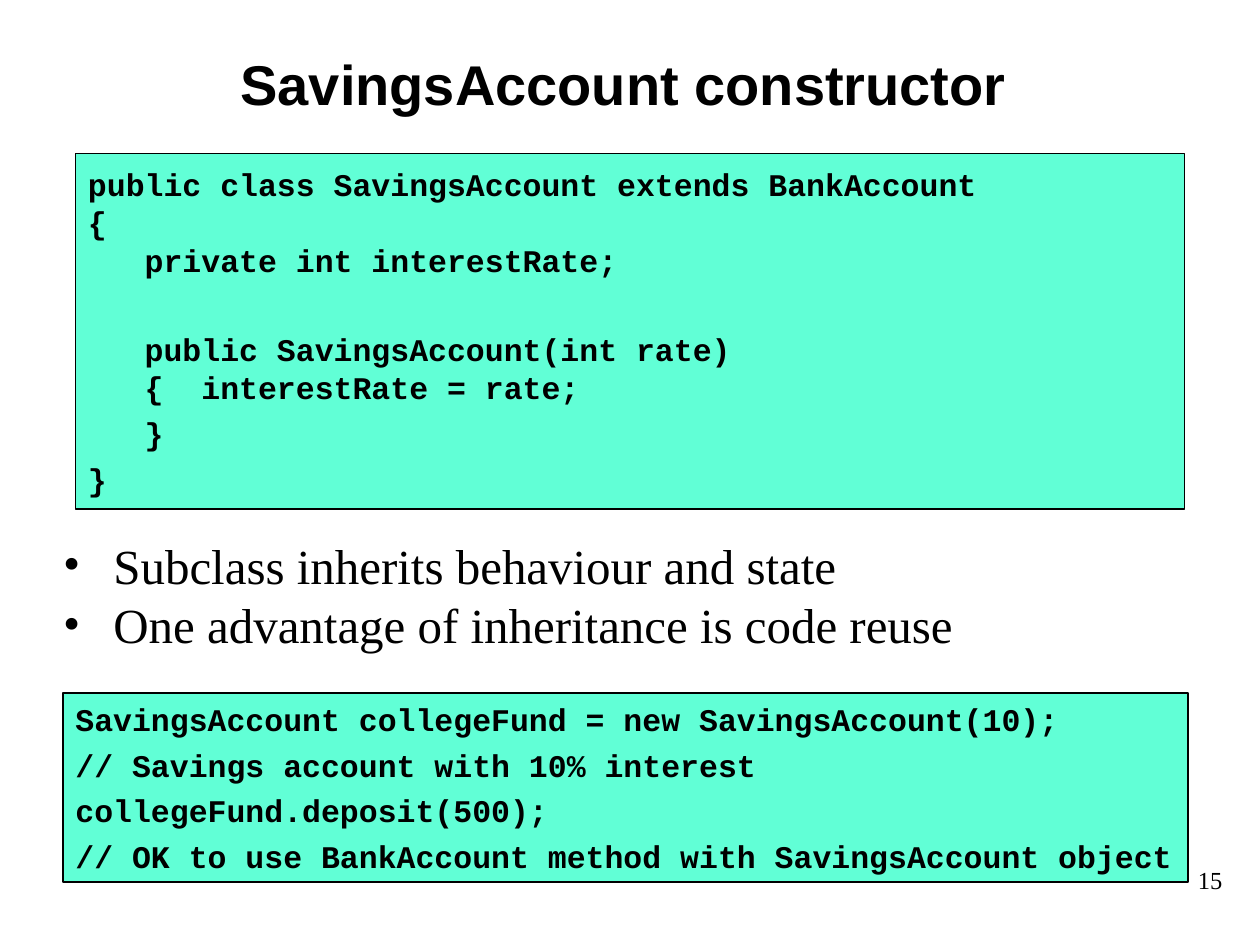
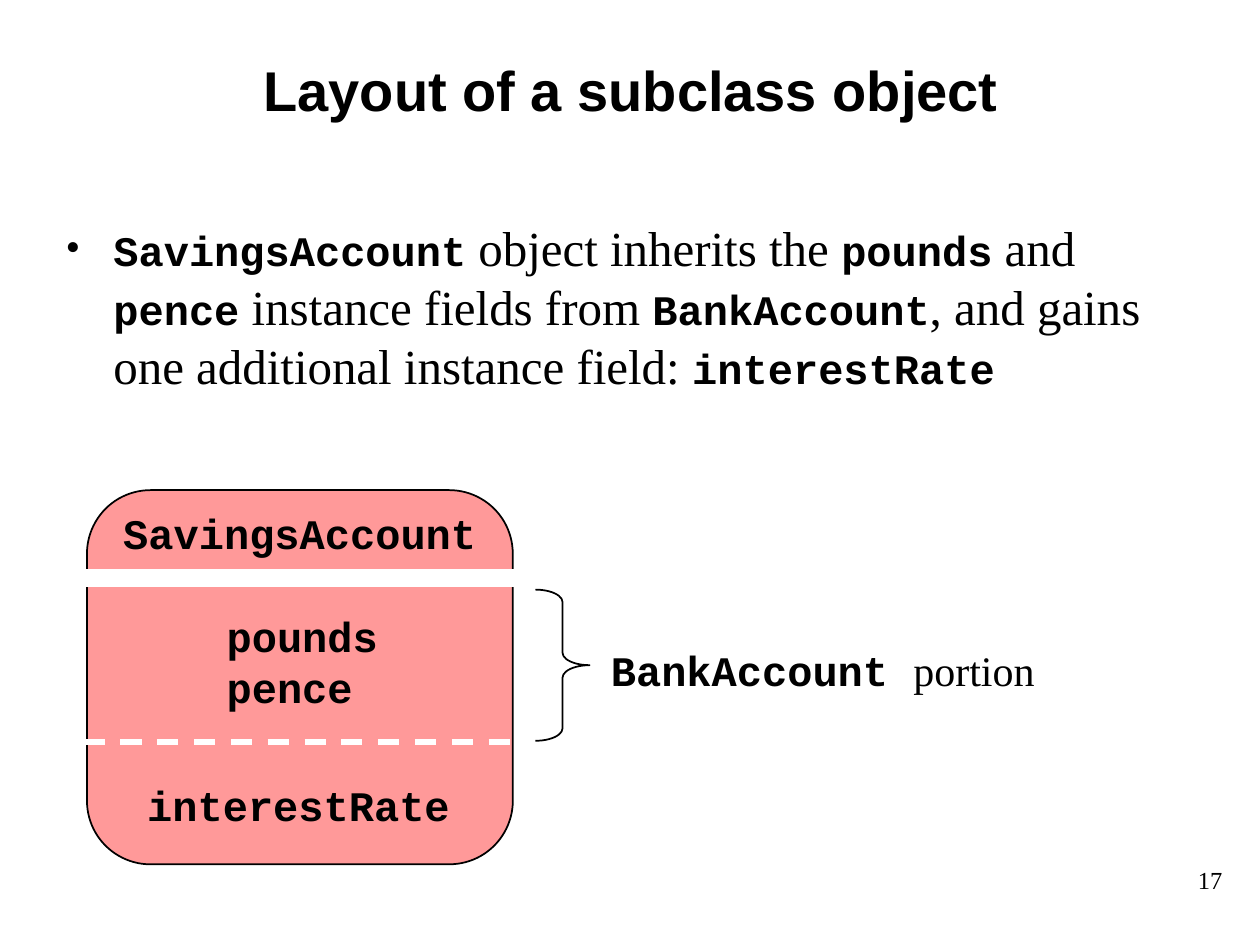
from dataclasses import dataclass

from lxml.etree import SubElement
from pptx import Presentation
from pptx.dml.color import RGBColor
from pptx.enum.dml import MSO_LINE
from pptx.enum.shapes import MSO_CONNECTOR, MSO_SHAPE
from pptx.enum.text import MSO_ANCHOR, MSO_AUTO_SIZE, PP_ALIGN
from pptx.oxml.ns import qn
from pptx.util import Inches, Pt

BLACK = RGBColor(0x00, 0x00, 0x00)
WHITE = RGBColor(0xFF, 0xFF, 0xFF)
MINT = RGBColor(0x61, 0xFF, 0xD6)
PINK = RGBColor(0xFF, 0x99, 0x99)
TITLE_FONT = "Arial"
CODE_FONT = "Courier New"
PROSE_FONT = "Times New Roman"


@dataclass(frozen=True)
class Area:
    left: float
    top: float
    width: float
    height: float

    def lengths(self):
        return [Inches(side) for side in (self.left, self.top, self.width, self.height)]


@dataclass(frozen=True)
class Span:
    text: str
    font: str = PROSE_FONT
    size: int = 28
    bold: bool = False


@dataclass(frozen=True)
class Para:
    spans: tuple[Span, ...]
    before: float = 0


@dataclass(frozen=True)
class Label:
    area: Area
    paras: tuple[Para, ...]


@dataclass(frozen=True)
class CodeBox:
    area: Area
    lines: tuple[tuple[str, float], ...]


def code(text: str, size: int = 24) -> Span:
    return Span(text, CODE_FONT, size, True)


def write(shape, paras, align=PP_ALIGN.LEFT, anchor=MSO_ANCHOR.TOP, indent=0, spacing=1.0):
    frame = shape.text_frame
    frame.word_wrap = True
    frame.auto_size = MSO_AUTO_SIZE.NONE
    frame.vertical_anchor = anchor
    for index, para in enumerate(paras):
        line = frame.paragraphs[0] if index == 0 else frame.add_paragraph()
        line.alignment = align
        line.line_spacing = spacing
        line.space_before = Pt(para.before)
        if indent:
            add_bullet(line, indent)
        for span in para.spans:
            run = line.add_run()
            run.text = span.text
            run.font.name = span.font
            run.font.size = Pt(span.size)
            run.font.bold = span.bold
            run.font.color.rgb = BLACK


def add_bullet(line, indent: float):
    properties = line._p.get_or_add_pPr()
    properties.set("marL", str(Inches(indent)))
    properties.set("indent", str(-Inches(indent)))
    color = SubElement(properties, qn("a:buClr"))
    SubElement(color, qn("a:srgbClr"), val=str(BLACK))
    SubElement(properties, qn("a:buFont"), typeface=PROSE_FONT)
    SubElement(properties, qn("a:buChar"), char="•")


def place(shape, area: Area):
    shape.left, shape.top, shape.width, shape.height = area.lengths()


def add_label(page, label: Label, align=PP_ALIGN.LEFT):
    box = page.shapes.add_textbox(*label.area.lengths())
    write(box, label.paras, align)


def add_panel(page, preset, area: Area, fill=None, line=BLACK, weight=1.0):
    panel = page.shapes.add_shape(preset, *area.lengths())
    panel.shadow.inherit = False
    if fill is None:
        panel.fill.background()
    else:
        panel.fill.solid()
        panel.fill.fore_color.rgb = fill
    panel.line.color.rgb = line
    panel.line.width = Pt(weight)
    return panel


def add_code_box(page, box: CodeBox):
    panel = add_panel(page, MSO_SHAPE.RECTANGLE, box.area, MINT, weight=0.75)
    paras = [Para((code(text, 18),), before) for text, before in box.lines]
    write(panel, paras, anchor=MSO_ANCHOR.MIDDLE)


def add_page(deck, title: str, title_area: Area, number: int, body_area: Area,
             bullets, indent: float, spacing: float = 1.0):
    page = deck.slides.add_slide(deck.slide_layouts[1])
    heading = page.shapes.title
    place(heading, title_area)
    write(heading, [Para((Span(title, TITLE_FONT, 32, True),))],
          PP_ALIGN.CENTER, MSO_ANCHOR.MIDDLE)
    body = page.placeholders[1]
    place(body, body_area)
    write(body, bullets, indent=indent, spacing=spacing)
    footer = Label(Area(8.39, 6.82, 1.41, 0.5), (Para((Span(str(number), size=14),)),))
    add_label(page, footer, PP_ALIGN.RIGHT)
    return page


def add_divider(page, left: float, right: float, top: float):
    divider = page.shapes.add_connector(
        MSO_CONNECTOR.STRAIGHT, Inches(left), Inches(top), Inches(right), Inches(top))
    divider.line.color.rgb = WHITE
    divider.line.width = Pt(3)
    divider.line.dash_style = MSO_LINE.DASH
    SubElement(divider._element.spPr, qn("a:effectLst"))


CODE_BOXES = (
    CodeBox(Area(0.6, 1.22, 8.8, 2.82), (
        ("public class SavingsAccount extends BankAccount", 0),
        ("{", 0),
        ("   private int interestRate;", 0),
        ("   public SavingsAccount(int rate)", 29.4),
        ("   {  interestRate = rate;", 0),
        ("   }", 4.5),
        ("}", 4.5),
    )),
    CodeBox(Area(0.5, 5.5, 8.93, 1.5), (
        ("SavingsAccount collegeFund = new SavingsAccount(10);", 0),
        ("// Savings account with 10% interest", 4.5),
        ("collegeFund.deposit(500);", 4.5),
        ("// OK to use BankAccount method with SavingsAccount object", 4.5),
    )),
)

OBJECT_LABELS = (
    Label(Area(0.88, 3.98, 3.1, 0.5), (Para((code("SavingsAccount"),)),)),
    Label(Area(1.7, 4.8, 1.51, 0.9), (Para((code("pounds"),)), Para((code("pence"),)))),
    Label(Area(1.07, 6.14, 2.7, 0.5), (Para((code("interestRate"),)),)),
    Label(Area(4.75, 5.07, 3.7, 0.5),
          (Para((code("BankAccount "), Span("portion", size=24))),)),
)


def build_constructor_page(deck):
    bullets = (
        Para((Span("Subclass inherits behaviour and state"),)),
        Para((Span("One advantage of inheritance is code reuse"),), 7),
    )
    page = add_page(deck, "SavingsAccount constructor", Area(0.7, 0.34, 8.5, 0.64), 15,
                    Area(0.4, 4.29, 8.84, 0.95), bullets, 0.4, 0.8)
    for box in CODE_BOXES:
        add_code_box(page, box)


def build_layout_page(deck):
    bullets = (Para((
        code("SavingsAccount"), Span(" object inherits the "),
        code("pounds"), Span(" and "),
        code("pence"), Span(" instance fields from "),
        code("BankAccount"), Span(", and gains one additional instance field: "),
        code("interestRate"),
    )),)
    page = add_page(deck, "Layout of a subclass object", Area(0.76, 0.28, 8.5, 0.85), 17,
                    Area(0.42, 1.68, 9.25, 1.5), bullets, 0.38)
    card = add_panel(page, MSO_SHAPE.ROUNDED_RECTANGLE, Area(0.69, 3.89, 3.38, 2.97), PINK)
    card.adjustments[0] = 0.17
    add_panel(page, MSO_SHAPE.RECTANGLE, Area(0.21, 4.52, 4.29, 0.13), WHITE, WHITE)
    add_divider(page, 0.08, 4.59, 5.89)
    brace = add_panel(page, MSO_SHAPE.RIGHT_BRACE, Area(4.25, 4.68, 0.43, 1.2))
    brace.adjustments[0] = 0.23
    for label in OBJECT_LABELS:
        add_label(page, label)


def main():
    deck = Presentation()
    deck.slide_width = Inches(10)
    deck.slide_height = Inches(7.5)
    build_constructor_page(deck)
    build_layout_page(deck)
    deck.save("out.pptx")


if __name__ == "__main__":
    main()
